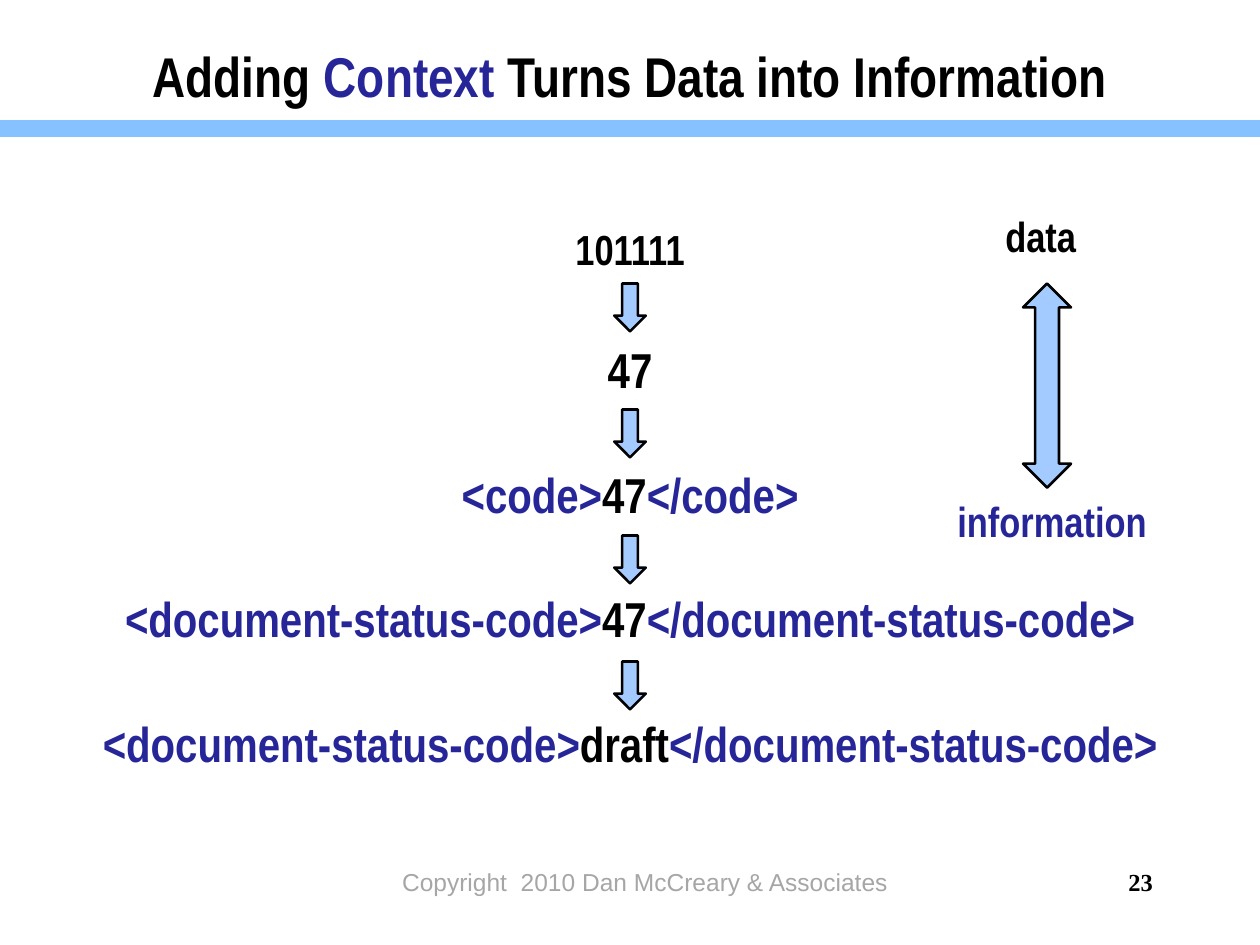
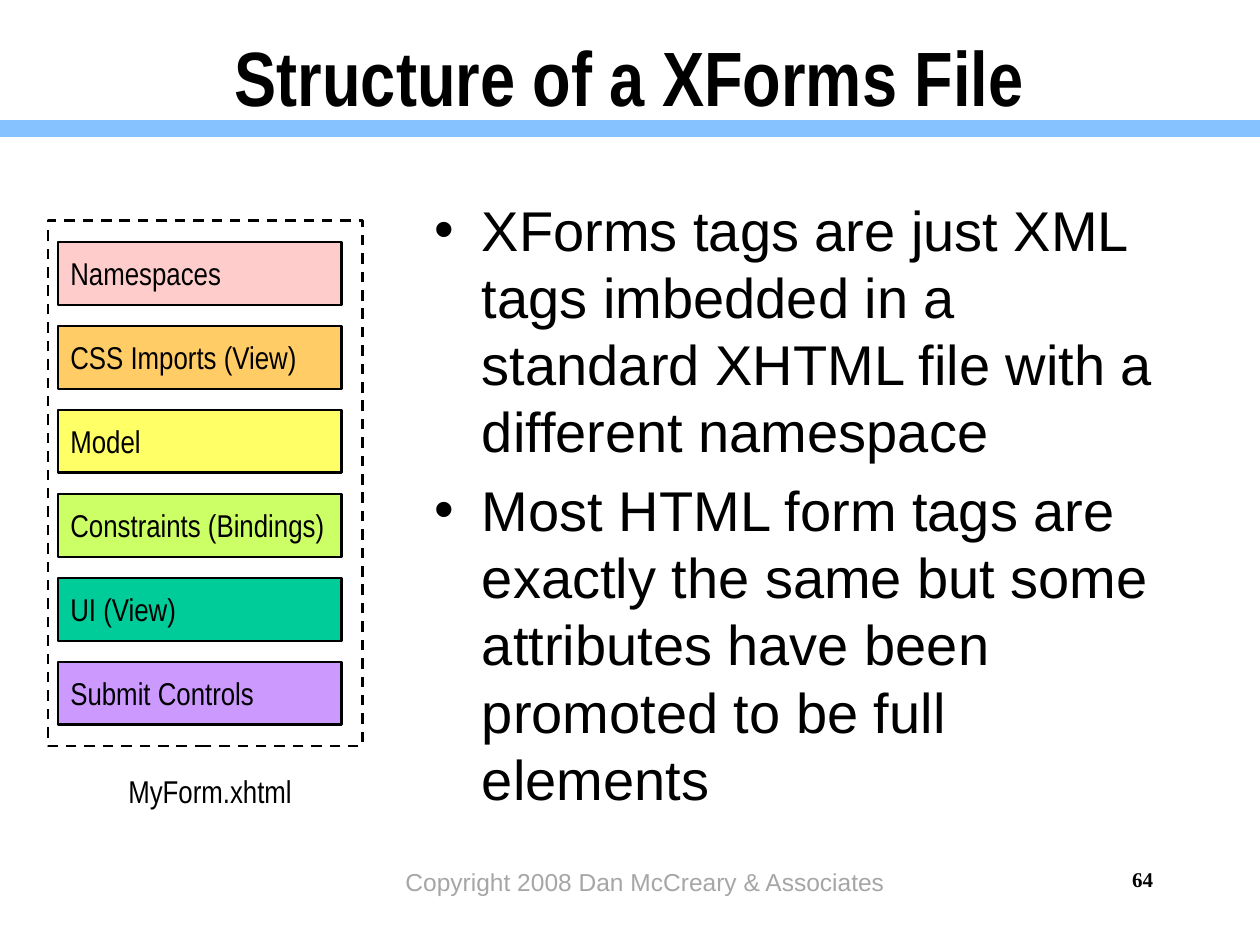
from pptx import Presentation
from pptx.dml.color import RGBColor
from pptx.enum.dml import MSO_LINE
from pptx.enum.shapes import MSO_CONNECTOR, MSO_SHAPE
from pptx.enum.text import MSO_ANCHOR, MSO_AUTO_SIZE, PP_ALIGN
from pptx.oxml.ns import qn
from pptx.util import Inches, Pt
from lxml import etree

LEFT, CENTER, RIGHT = PP_ALIGN.LEFT, PP_ALIGN.CENTER, PP_ALIGN.RIGHT
TOP, MIDDLE, BOTTOM = MSO_ANCHOR.TOP, MSO_ANCHOR.MIDDLE, MSO_ANCHOR.BOTTOM
STRAIGHT = MSO_CONNECTOR.STRAIGHT
RECTANGLE = MSO_SHAPE.RECTANGLE
DOWN_ARROW, UP_DOWN_ARROW = MSO_SHAPE.DOWN_ARROW, MSO_SHAPE.UP_DOWN_ARROW
DASH = MSO_LINE.DASH

# Shared style
SLIDE_W, SLIDE_H = 10, 7.5
NARROW, SANS, SERIF = "Arial Narrow", "Arial", "Times New Roman"
BLACK, CONTEXT, GRAY = "000000", "262699", "A6A6A6"
BAND, ARROW = "85C2FF", "A4CBFF"
TITLE_BOX = (0.75, 0.12, 8.5, 0.96)
BAND_Y, FOOTER_TOP, FOOTER_H = 1.02, 6.83, 0.5
RIGHT_EDGE = 9.25

# Content: text runs are (text, colour) pairs
CONTEXT_SLIDE = {
    "title": [("Adding ", BLACK), ("Context", CONTEXT),
              (" Turns Data into Information", BLACK)],
    "title_size": 32,
    "copyright": "Copyright  2010 Dan McCreary & Associates",
    "number": ("23", 14),
}
STAGES = [
    (24, [("101111", BLACK)]),
    (28, [("47", BLACK)]),
    (28, [("<code>", CONTEXT), ("47", BLACK), ("</code>", CONTEXT)]),
    (28, [("<document-status-code>", CONTEXT), ("47", BLACK),
          ("</document-status-code>", CONTEXT)]),
    (28, [("<document-status-code>", CONTEXT), ("draft", BLACK),
          ("</document-status-code>", CONTEXT)]),
]
SCALE_ENDS = [("data", BLACK, 7.88, 1.62), ("information", CONTEXT, 7.5, 3.88)]

XFORMS_SLIDE = {
    "title": [("Structure of a XForms File", BLACK)],
    "title_size": 44,
    "copyright": "Copyright 2008 Dan McCreary & Associates",
    "number": ("64", 12),
}
FILE_PARTS = [
    ("Namespaces", "FFCCCC"),
    ("CSS Imports (View)", "FFCC66"),
    ("Model", "FFFF66"),
    ("Constraints (Bindings)", "CCFF66"),
    ("UI (View)", "00CC99"),
    ("Submit Controls", "CC99FF"),
]
FILE_NAME = "MyForm.xhtml"
XFORMS_POINTS = [
    "XForms tags are just XML tags imbedded in a standard XHTML file "
    "with a different namespace",
    "Most HTML form tags are exactly the same but some attributes have "
    "been promoted to be full elements",
]


def rgb(value):
    return RGBColor.from_string(value)


def place(shape, box):
    shape.left, shape.top, shape.width, shape.height = map(Inches, box)


def write(shape, runs, size, font=NARROW, bold=False, align=LEFT,
          anchor=TOP, wrap=True):
    frame = shape.text_frame
    frame.auto_size = MSO_AUTO_SIZE.NONE
    frame.word_wrap = wrap
    frame.vertical_anchor = anchor
    paragraph = frame.paragraphs[0]
    paragraph.alignment = align
    paragraph.font.name = font
    paragraph.font.size = Pt(size)
    paragraph.font.bold = bold
    for text, color in runs:
        run = paragraph.add_run()
        run.text = text
        run.font.color.rgb = rgb(color)


def add_label(slide, box, runs, size, **style):
    label = slide.shapes.add_textbox(*map(Inches, box))
    write(label, runs, size, **style)


def add_figure(slide, kind, box, fill=None):
    figure = slide.shapes.add_shape(kind, *map(Inches, box))
    figure.shadow.inherit = False
    if fill:
        figure.fill.solid()
        figure.fill.fore_color.rgb = rgb(fill)
    else:
        figure.fill.background()
    figure.line.color.rgb = rgb(BLACK)
    figure.line.width = Pt(1.5)
    return figure


def add_slide(deck, layout, content):
    """Add a slide with its title, band and footer."""
    slide = deck.slides.add_slide(deck.slide_layouts[layout])
    title = slide.shapes.title
    place(title, TITLE_BOX)
    write(title, content["title"], content["title_size"], bold=True,
          align=CENTER, anchor=MIDDLE)

    # Band
    band = slide.shapes.add_connector(
        STRAIGHT, *map(Inches, (0, BAND_Y, SLIDE_W, BAND_Y)))
    band.line.color.rgb = rgb(BAND)
    band.line.width = Pt(10)
    etree.SubElement(band._element.spPr, qn("a:effectLst"))

    # Footer
    add_label(slide, (2.83, FOOTER_TOP, 4.58, FOOTER_H),
              [(content["copyright"], GRAY)], 14, font=SANS, align=CENTER)
    number, size = content["number"]
    add_label(slide, (RIGHT_EDGE - 1, FOOTER_TOP, 1, FOOTER_H),
              [(number, BLACK)], size, font=SERIF, bold=True, align=RIGHT)
    return slide


def build_context_slide(deck):
    slide = add_slide(deck, 5, CONTEXT_SLIDE)

    # Stages, with an arrow between each two
    stage_w, stage_h, stage_pitch, first_stage = 9.52, 0.57, 0.99, 1.65
    arrow_w, arrow_h, first_arrow = 0.25, 0.38, 2.25
    for i, (size, runs) in enumerate(STAGES):
        add_label(slide, ((SLIDE_W - stage_w) / 2, first_stage + i * stage_pitch,
                          stage_w, stage_h),
                  runs, size, bold=True, align=CENTER, anchor=BOTTOM)
    for i in range(len(STAGES) - 1):
        add_figure(slide, DOWN_ARROW, ((SLIDE_W - arrow_w) / 2, first_arrow + i,
                                       arrow_w, arrow_h), ARROW)

    # Scale from data to information
    add_figure(slide, UP_DOWN_ARROW, (8.12, first_arrow, 0.38, 1.62), ARROW)
    for text, color, x, y in SCALE_ENDS:
        add_label(slide, (x, y, 1.72, 0.5), [(text, color)], 24, bold=True)


def build_xforms_slide(deck):
    slide = add_slide(deck, 1, XFORMS_SLIDE)

    # Explanation
    body = slide.placeholders[1]
    place(body, (3.35, 1.5, 5.95, 5.12))
    frame = body.text_frame
    frame.text = "\n".join(XFORMS_POINTS)
    frame.auto_size = MSO_AUTO_SIZE.NONE
    for point in frame.paragraphs:
        point.font.name = SANS
        point.font.size = Pt(32)
        point.font.color.rgb = rgb(BLACK)
    frame.paragraphs[0].space_before = Pt(0)

    # File outline and its parts
    outline = add_figure(slide, RECTANGLE, (0.38, 1.75, 2.5, 4.17))
    outline.line.dash_style = DASH
    part_pitch = 2 / 3
    for i, (text, fill) in enumerate(FILE_PARTS):
        part = add_figure(slide, RECTANGLE,
                          (0.46, 1.92 + i * part_pitch, 2.25, 0.5), fill)
        write(part, [(text, BLACK)], 18, anchor=MIDDLE, wrap=False)
    add_label(slide, (0.92, 6.08, 1.5, 0.4), [(FILE_NAME, BLACK)], 18, wrap=False)


def main():
    deck = Presentation()
    deck.slide_width, deck.slide_height = Inches(SLIDE_W), Inches(SLIDE_H)
    build_context_slide(deck)
    build_xforms_slide(deck)
    deck.save("out.pptx")


if __name__ == "__main__":
    main()
